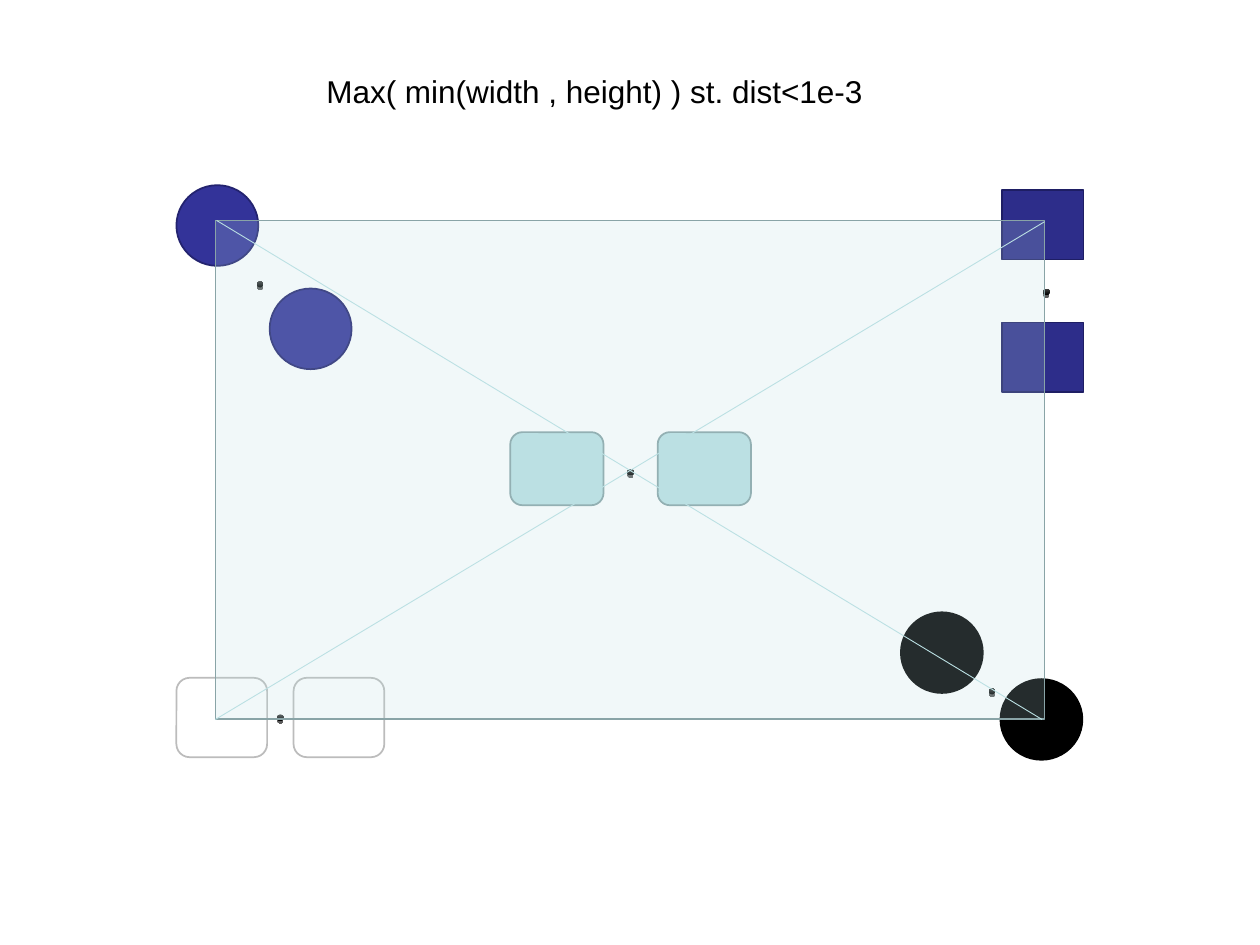
from lxml import etree
from pptx import Presentation
from pptx.dml.color import RGBColor
from pptx.enum.shapes import MSO_CONNECTOR as CONNECTOR, MSO_SHAPE as SHAPE
from pptx.enum.text import MSO_ANCHOR as ANCHOR, MSO_AUTO_SIZE as AUTO_SIZE, PP_ALIGN as ALIGN
from pptx.oxml.ns import qn
from pptx.util import Inches, Pt

COLORS = {
    "black": "000000", "white": "FFFFFF", "gray": "BCBCBC", "charcoal": "454545",
    "aqua": "BBE0E3", "aqua_edge": "89A4A7",
    "blue": "333399", "blue_edge": "23236F",
    "navy": "2D2D8A", "navy_edge": "1E1E64",
}
FONT = "Arial"
DOT_SIZE = 0.05


def rgb(name):
    return RGBColor.from_string(COLORS[name])


class Diagram:
    def __init__(self, slide):
        self.slide = slide

    def title(self, text, left, top, width, height):
        shape = self.slide.shapes.title
        shape.left, shape.top = Inches(left), Inches(top)
        shape.width, shape.height = Inches(width), Inches(height)
        frame = shape.text_frame
        frame.word_wrap = True
        frame.auto_size = AUTO_SIZE.SHAPE_TO_FIT_TEXT
        frame.vertical_anchor = ANCHOR.TOP
        paragraph = frame.paragraphs[0]
        paragraph.alignment = ALIGN.LEFT
        run = paragraph.add_run()
        run.text = text
        run.font.name, run.font.size = FONT, Pt(18)
        run.font.color.rgb = rgb("black")

    def block(self, parent, kind, box, fill, edge, opacity=None):
        shape = parent.shapes.add_shape(kind, *map(Inches, box))
        shape.shadow.inherit = False
        shape.fill.solid()
        shape.fill.fore_color.rgb = rgb(fill)
        shape.line.color.rgb = rgb(edge)
        shape.line.width = Pt(1)
        if opacity is not None:
            color = shape.fill._xPr.find(qn("a:solidFill"))[0]
            etree.SubElement(color, qn("a:alpha"), val=str(opacity * 1000))
        return shape

    def dot(self, parent, left, top):
        shape = parent.shapes.add_shape(
            SHAPE.OVAL, Inches(left), Inches(top), Inches(DOT_SIZE), Inches(DOT_SIZE))
        shape.fill.gradient()
        shape.fill.gradient_angle = 270
        for stop, position, name in zip(shape.fill.gradient_stops, (0, 1), ("charcoal", "black")):
            stop.position = position
            stop.color.rgb = rgb(name)
        shape.line.fill.background()
        shape.shadow.inherit = False
        effects = shape._element.spPr.find(qn("a:effectLst"))
        shadow = etree.SubElement(effects, qn("a:outerShdw"), blurRad="0",
                                  dist=str(Pt(1.5)), dir="5400000", rotWithShape="0")
        color = etree.SubElement(shadow, qn("a:srgbClr"), val=COLORS["black"])
        etree.SubElement(color, qn("a:alpha"), val="63000")

    def pair(self, kind, places, size, dot, fill, edge):
        """Two equal shapes with a small dot at their midpoint."""
        group = self.slide.shapes.add_group_shape()
        for place in places:
            self.block(group, kind, (*place, *size), fill, edge)
        self.dot(group, *dot)

    def diagonal(self, parent, start, end):
        line = parent.shapes.add_connector(
            CONNECTOR.STRAIGHT, *map(Inches, (*start, *end)))
        line.line.color.rgb = rgb("aqua")
        line.line.width = Pt(0.5)
        etree.SubElement(line._element.spPr, qn("a:effectLst"))


def main():
    presentation = Presentation()
    presentation.slide_width, presentation.slide_height = Inches(10), Inches(7.5)
    slide = presentation.slides.add_slide(presentation.slide_layouts[5])
    diagram = Diagram(slide)

    # Pairs: centre, then the four corners
    round_size = (0.65, 0.64)
    pairs = [
        (SHAPE.ROUNDED_RECTANGLE, [(4.05, 3.43), (5.22, 3.43)], (0.74, 0.58),
         (4.98, 3.72), "aqua", "aqua_edge"),
        (SHAPE.OVAL, [(1.4, 1.47), (2.14, 2.29)], round_size,
         (2.04, 2.23), "blue", "blue_edge"),
        (SHAPE.ROUNDED_RECTANGLE, [(1.4, 5.38), (2.33, 5.38)], (0.72, 0.63),
         (2.2, 5.67), "white", "gray"),
        (SHAPE.OVAL, [(7.15, 4.86), (7.94, 5.39)], round_size,
         (7.85, 5.46), "black", "black"),
        (SHAPE.RECTANGLE, [(7.95, 1.51), (7.95, 2.56)], (0.65, 0.55),
         (8.28, 2.29), "navy", "navy_edge"),
    ]
    for pair in pairs:
        diagram.pair(*pair)

    # Translucent frame with its diagonals
    frame = slide.shapes.add_group_shape()
    diagram.block(frame, SHAPE.RECTANGLE, (1.71, 1.75, 6.58, 3.96),
                  "aqua", "aqua_edge", opacity=20)
    diagram.diagonal(frame, (8.29, 1.76), (1.71, 5.71))
    diagram.diagonal(frame, (1.72, 1.75), (8.27, 5.71))

    # Title
    diagram.title("Max( min(width , height) ) st. dist<1e-3", 2.49, 0.52, 5.12, 0.4)

    presentation.save("out.pptx")


if __name__ == "__main__":
    main()
